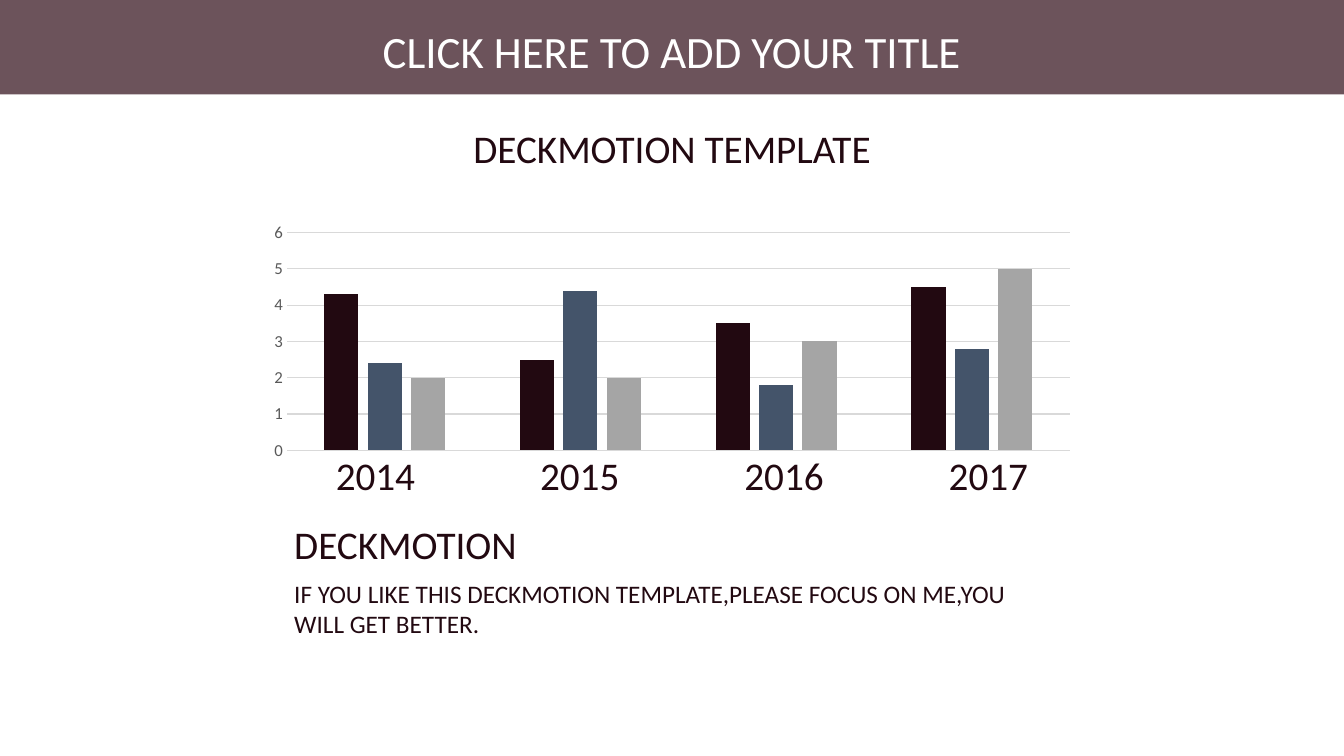
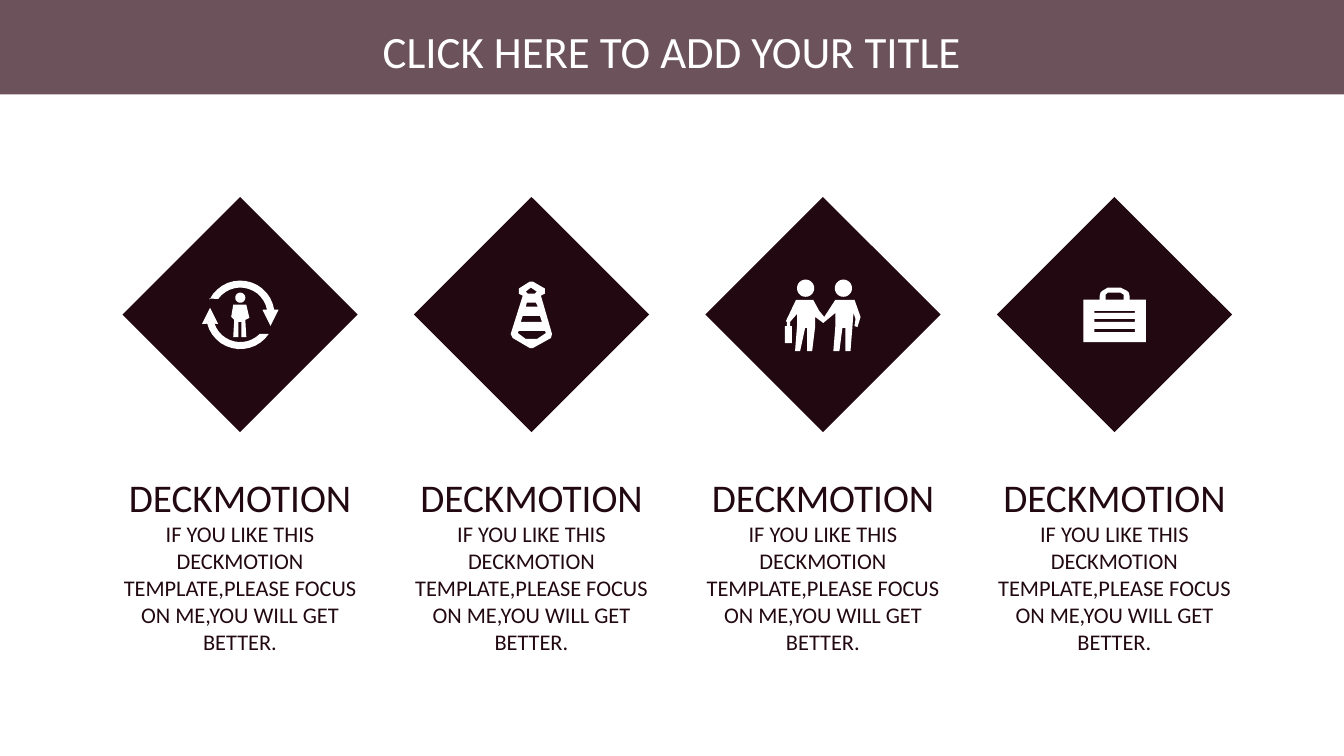
import math
from dataclasses import dataclass

import pptx
import pptx.chart.data
import pptx.dml.color
import pptx.enum.chart
import pptx.enum.shapes
import pptx.enum.text
import pptx.oxml
import pptx.oxml.ns
import pptx.util

# Slide grid: 64 columns by 36 rows of square cells
SLIDE_WIDTH = pptx.util.Inches(40 / 3)
SLIDE_HEIGHT = pptx.util.Inches(7.5)
COLUMNS, ROWS = 64, 36
CELL = SLIDE_WIDTH / COLUMNS
BAND_ROWS = 4.5
ICON_UNIT = pptx.util.Inches(0.01)
ICON_PRECISION = 10

# Shared style
FONT = "Calibri"
DARK = "220911"
BAND = "300D18"
WHITE = "FFFFFF"
SLATE = "44546A"
GREY = "A5A5A5"
LABEL_GREY = "595959"
GRID_GREY = "D9D9D9"
LEFT = pptx.enum.text.PP_ALIGN.LEFT
CENTER = pptx.enum.text.PP_ALIGN.CENTER
SHAPES = pptx.enum.shapes.MSO_SHAPE

TITLE = "CLICK HERE TO ADD YOUR TITLE"
HEADING = "DECKMOTION"
MESSAGE = f"IF YOU LIKE THIS {HEADING} TEMPLATE,PLEASE FOCUS ON ME,YOU WILL GET BETTER."

Points = list[tuple[float, float]]


@dataclass(frozen=True)
class Area:
    """A place on the slide, in grid columns and rows."""
    col: float
    row: float
    cols: float
    rows: float

    def box(self) -> list[int]:
        return [round(n * CELL) for n in (self.col, self.row, self.cols, self.rows)]


@dataclass(frozen=True)
class Series:
    name: str
    values: tuple[float, ...]
    color: str


@dataclass(frozen=True)
class Icon:
    """Outlines in hundredths of an inch, offset from the diamond in cells."""
    col: float
    row: float
    outlines: list[Points]


def rgb(color: str) -> pptx.dml.color.RGBColor:
    return pptx.dml.color.RGBColor.from_string(color)


def paint(shape, color: str) -> None:
    shape.shadow.inherit = False
    shape.fill.solid()
    shape.fill.fore_color.rgb = rgb(color)
    shape.line.fill.background()


def add_block(slide, kind, area: Area, color: str):
    block = slide.shapes.add_shape(kind, *area.box())
    paint(block, color)
    return block


def add_text(slide, area: Area, text: str, size: float,
             color: str = DARK, align=CENTER) -> None:
    frame = slide.shapes.add_textbox(*area.box()).text_frame
    frame.word_wrap = True
    frame.text = text
    paragraph = frame.paragraphs[0]
    paragraph.alignment = align
    font = paragraph.runs[0].font
    font.name, font.size = FONT, pptx.util.Pt(size)
    font.color.rgb = rgb(color)


def add_titled_slide(deck):
    """Tinted backdrop, white panel below the title band, and the title."""
    slide = deck.slides.add_slide(deck.slide_layouts[6])
    backdrop = add_block(slide, SHAPES.RECTANGLE, Area(0, 0, COLUMNS, ROWS), BAND)
    tint = backdrop.fill._xPr.find(".//" + pptx.oxml.ns.qn("a:srgbClr"))
    tint.append(pptx.oxml.parse_xml(
        f'<a:alpha {pptx.oxml.ns.nsdecls("a")} val="71000"/>'))
    panel = Area(0, BAND_ROWS, COLUMNS, ROWS - BAND_ROWS)
    add_block(slide, SHAPES.RECTANGLE, panel, WHITE)
    add_text(slide, Area(16.5, 0.9, 31, 3.07), TITLE, 32, WHITE)
    return slide


# Icon outlines
def arc(cx: float, cy: float, radius: float, start: float, end: float) -> Points:
    steps = max(2, round(abs(end - start) / 10))
    angles = [math.radians(start + (end - start) * i / steps) for i in range(steps + 1)]
    return [(cx + radius * math.cos(a), cy + radius * math.sin(a)) for a in angles]


def circle(cx: float, cy: float, radius: float) -> Points:
    return arc(cx, cy, radius, 0, 360)


def slit(top: float, bottom: float) -> Points:
    return [(11, top), (11, bottom), (51, bottom), (51, top)]


CYCLE = Icon(3.79, 3.98, [
    circle(38, 17, 5),
    [(29, 36), (31, 24), (44, 24), (47, 37), (43, 39), (44, 56), (39, 56),
     (39, 41), (36, 41), (36, 56), (31, 56), (32, 39)],
    [(8, 27), (0, 43), *arc(38, 34, 34, 165, 34), (57, 53),
     *arc(38, 34, 27, 45, 161), (16, 43)],
    [(68, 45), (60, 29), *arc(38, 34, 27, -11, -144), (7, 18),
     *arc(38, 34, 34, -153, -9), (76, 29)],
])
TIE = Icon(4.61, 4.03, [
    [(30, 14), (41, 52), (40, 56), (22, 66), (19, 66), (2, 56), (0, 52),
     (12, 14), (8, 12), (8, 7), (19, 0), (22, 0), (34, 7), (34, 12)],
    [(15, 57), (26, 57), (35, 51), (34, 49), (8, 49), (7, 51)],
    [(17, 12), (24, 12), (26, 10), (20, 6), (15, 10)],
    [(25, 21), (16, 21), (15, 25), (27, 25)],
    [(29, 34), (12, 34), (10, 40), (31, 40)],
])
HANDSHAKE = Icon(3.79, 3.89, [
    [(11, 21), (28, 21), (34, 32), (39, 38), (50, 21), (69, 21), (75, 38),
     (72, 48), (69, 47), (70, 40), (68, 34), (67, 47), (65, 72), (60, 72),
     (60, 49), (57, 49), (54, 72), (48, 72), (50, 47), (50, 34), (38, 44),
     (30, 38), (30, 47), (27, 72), (22, 72), (22, 49), (20, 49), (15, 72),
     (10, 72), (12, 47), (12, 35), (5, 43), (5, 47), (7, 47), (7, 64),
     (0, 64), (0, 47), (2, 47), (2, 43), (1, 42)],
    circle(20.5, 9.5, 8.5),
    circle(58, 9.5, 8.5),
])
BRIEFCASE = Icon(4.12, 4.32, [
    [(0, 12), (16, 12), (16, 9), (17, 5), (19, 3), (24, 0), (37, 0), (43, 3),
     (45, 5), (46, 9), (46, 12), (62, 12), (62, 54), (0, 54)],
    [(22, 12), (40, 12), (40, 7), (37, 5), (24, 5), (22, 7)],
    slit(23, 25), slit(31, 34), slit(41, 44),
])


def add_icon(slide, icon: Icon, diamond: Area) -> None:
    builder = None
    for outline in icon.outlines:
        first, *rest = [(x * ICON_PRECISION, y * ICON_PRECISION) for x, y in outline]
        if builder is None:
            builder = slide.shapes.build_freeform(*first, scale=ICON_UNIT / ICON_PRECISION)
        else:
            builder.move_to(*first)
        builder.add_line_segments(rest, close=True)
    left = round((diamond.col + icon.col) * CELL)
    top = round((diamond.row + icon.row) * CELL)
    paint(builder.convert_to_shape(left, top), WHITE)


# Slide 1: yearly columns
YEARS = ("2014", "2015", "2016", "2017")
YEAR_PITCH = 9.73
YEARLY_SERIES = (
    Series("Series 1", (4.3, 2.5, 3.5, 4.5), DARK),
    Series("Series 2", (2.4, 4.4, 1.8, 2.8), SLATE),
    Series("Series 3", (2, 2, 3, 5), GREY),
)


def add_yearly_chart(slide, area: Area) -> None:
    figures = pptx.chart.data.CategoryChartData()
    figures.categories = [str(n + 1) for n in range(len(YEARS))]
    for series in YEARLY_SERIES:
        figures.add_series(series.name, series.values)
    chart = slide.shapes.add_chart(
        pptx.enum.chart.XL_CHART_TYPE.COLUMN_CLUSTERED, *area.box(), figures).chart
    chart.has_legend = chart.has_title = False
    chart.font.name, chart.font.size = FONT, pptx.util.Pt(10)
    chart.font.color.rgb = rgb("000000")
    chart.category_axis.visible = False

    scale = chart.value_axis
    scale.minimum_scale, scale.maximum_scale, scale.major_unit = 0, 6, 1
    scale.major_tick_mark = scale.minor_tick_mark = pptx.enum.chart.XL_TICK_MARK.NONE
    scale.format.line.fill.background()
    scale.major_gridlines.format.line.color.rgb = rgb(GRID_GREY)
    scale.major_gridlines.format.line.width = pptx.util.Pt(0.75)
    labels = scale.tick_labels.font
    labels.name, labels.size = FONT, pptx.util.Pt(12)
    labels.color.rgb = rgb(LABEL_GREY)

    plot = chart.plots[0]
    plot.gap_width, plot.overlap, plot.vary_by_categories = 219, -27, False
    for columns, series in zip(plot.series, YEARLY_SERIES):
        columns.format.fill.solid()
        columns.format.fill.fore_color.rgb = rgb(series.color)


def build_yearly_slide(deck) -> None:
    slide = add_titled_slide(deck)
    add_yearly_chart(slide, Area(12.27, 10.36, 39.46, 11.8))
    add_text(slide, Area(13.54, 24.55, 36.9, 2.74), HEADING, 28, align=LEFT)
    add_text(slide, Area(13.54, 27.31, 36.9, 3.4), MESSAGE, 18, align=LEFT)
    for i, year in enumerate(YEARS):
        add_text(slide, Area(15.48 + i * YEAR_PITCH, 21.26, 4.8, 2.74), year, 28)
    add_text(slide, Area(21, 5.7, 22, 2.74), f"{HEADING} TEMPLATE", 28)


# Slide 2: four diamonds with captions
DIAMOND_SIZE = 11.2
DIAMOND_PITCH = 13.88


def build_diamond_slide(deck) -> None:
    slide = add_titled_slide(deck)
    for i, icon in enumerate((CYCLE, TIE, HANDSHAKE, BRIEFCASE)):
        diamond = Area(5.83 + i * DIAMOND_PITCH, 9.38, DIAMOND_SIZE, DIAMOND_SIZE)
        add_block(slide, SHAPES.DIAMOND, diamond, DARK)
        add_icon(slide, icon, diamond)
        middle = diamond.col + DIAMOND_SIZE / 2
        add_text(slide, Area(middle - 6.05, 22.32, 12.1, 2.74), HEADING, 28)
        add_text(slide, Area(middle - 6.3, 24.55, 12.6, 6.96), MESSAGE, 16)


def main() -> None:
    deck = pptx.Presentation()
    deck.slide_width, deck.slide_height = SLIDE_WIDTH, SLIDE_HEIGHT
    build_yearly_slide(deck)
    build_diamond_slide(deck)
    deck.save("out.pptx")


if __name__ == "__main__":
    main()
